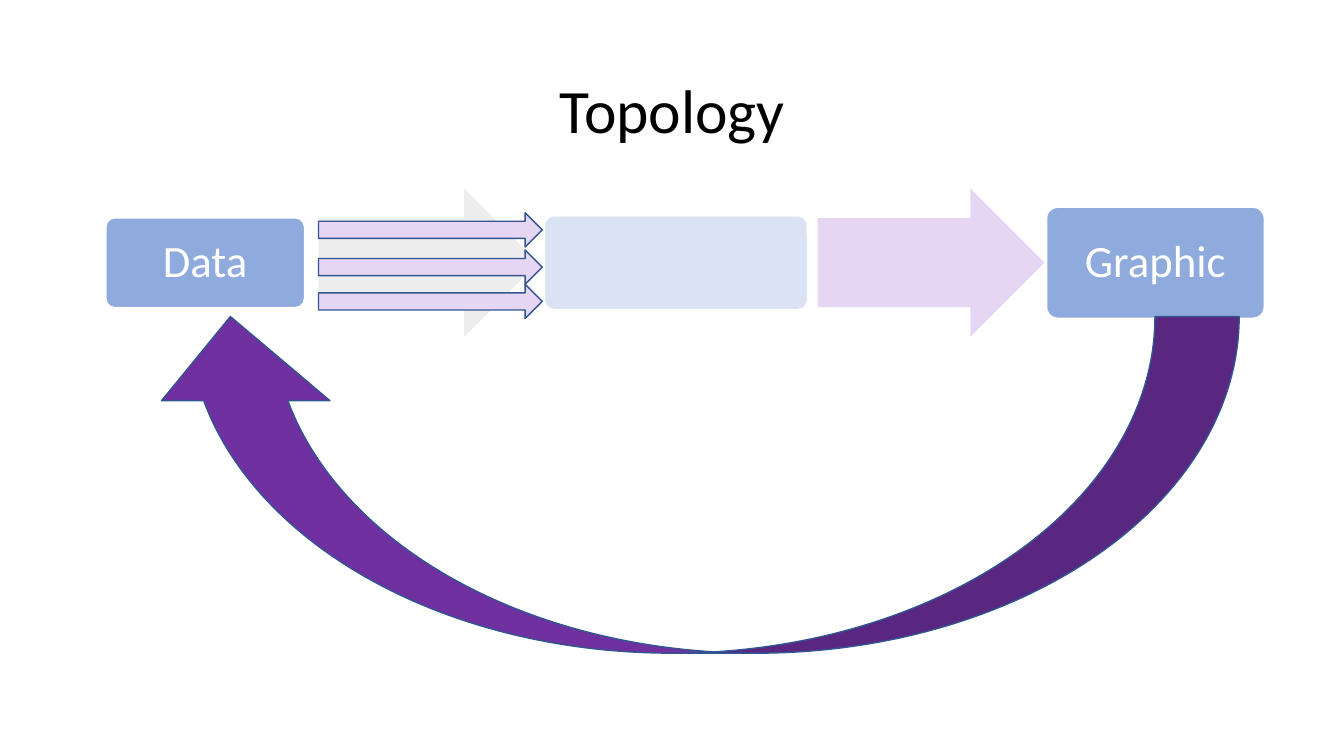
from pptx import Presentation
from pptx.dml.color import RGBColor
from pptx.enum.shapes import MSO_SHAPE
from pptx.enum.text import MSO_ANCHOR, PP_ALIGN
from pptx.util import Inches, Pt

BOX = MSO_SHAPE.ROUNDED_RECTANGLE
ARROW = MSO_SHAPE.RIGHT_ARROW
CURVED_ARROW = MSO_SHAPE.CURVED_UP_ARROW
CENTER = PP_ALIGN.CENTER
MIDDLE = MSO_ANCHOR.MIDDLE

BLUE, PALE_BLUE = "8FAADC", "DAE3F3"
LILAC, PURPLE, GREY = "E6D5F3", "7030A0", "EDEDED"
WHITE, BLACK, OUTLINE = "FFFFFF", "000000", "325491"
FLOW_ROW = 34.75  # centre row of the flow from data to graphic


def rgb(hex_color):
    return RGBColor.from_string(hex_color)


def write(tf, text, size=32, color=WHITE, font="Calibri", inset=0.13):
    """Put one centred paragraph in a text frame."""
    tf.word_wrap = True
    tf.vertical_anchor = MIDDLE
    tf.margin_left = tf.margin_right = Inches(inset)
    tf.margin_top = tf.margin_bottom = Inches(inset)
    p = tf.paragraphs[0]
    p.alignment = CENTER
    p.line_spacing = 0.9
    r = p.add_run()
    r.text = text
    r.font.name = font
    r.font.size = Pt(size)
    r.font.color.rgb = rgb(color)


class Board:
    """One slide measured in a grid of 100 columns by 100 rows."""

    def __init__(self, prs):
        self.col = prs.slide_width / 100
        self.row = prs.slide_height / 100
        self.slide = prs.slides.add_slide(prs.slide_layouts[6])

    def place(self, x, y, w, h):
        return (round(x * self.col), round(y * self.row),
                round(w * self.col), round(h * self.row))

    def group(self):
        return self.slide.shapes.add_group_shape().shapes

    def title(self, text, x, y, w, h):
        s = self.slide.shapes.add_textbox(*self.place(x, y, w, h))
        write(s.text_frame, text, size=44, color=BLACK, inset=0.05)

    def shape(self, kind, x, y, w, h, fill, line=None, adj=(), shapes=None):
        shapes = self.slide.shapes if shapes is None else shapes
        s = shapes.add_shape(kind, *self.place(x, y, w, h))
        s.shadow.inherit = False
        s.fill.solid()
        s.fill.fore_color.rgb = rgb(fill)
        if line:
            s.line.color.rgb = rgb(line)
            s.line.width = Pt(1)
        else:
            s.line.fill.background()
        for i, value in enumerate(adj):
            s.adjustments[i] = value
        return s

    def box(self, shapes, x, w, h, fill, text=None):
        s = self.shape(BOX, x, FLOW_ROW - h / 2, w, h, fill, WHITE, (0.1,), shapes)
        if text:
            write(s.text_frame, text)

    def block_arrow(self, shapes, x, w, fill, h=19.6):
        self.shape(ARROW, x, FLOW_ROW - h / 2, w, h, fill,
                   adj=(0.6, 0.5), shapes=shapes)

    def thin_arrow(self, shapes, x, center, w=16.65, h=4.53):
        self.shape(ARROW, x, center - h / 2, w, h, LILAC, OUTLINE, shapes=shapes)

    def return_arrow(self, x, y, w, h):
        s = self.shape(CURVED_ARROW, x, y, w, h, PURPLE, OUTLINE)
        s.element.spPr.get_or_add_xfrm().set("flipH", "1")


def main():
    prs = Presentation()
    prs.slide_width, prs.slide_height = Inches(13.33), Inches(7.5)
    board = Board(prs)
    board.title("Topology", 6.9, 5.33, 86.25, 19.33)

    flow = board.group()
    board.box(flow, 7.88, 14.78, 11.87, BLUE, "Data")
    board.block_arrow(flow, 23.7, 16.35, GREY)
    board.box(flow, 40.5, 19.58, 12.4, PALE_BLUE)
    board.block_arrow(flow, 60.84, 16.88, LILAC)
    board.box(flow, 77.87, 16.2, 14.67, BLUE, "Graphic")

    board.return_arrow(10.88, 41.87, 81.32, 44.53)

    streams = board.group()
    for center in (39.87, 35.33, 30.4):
        board.thin_arrow(streams, 23.7, center)

    prs.save("out.pptx")


if __name__ == "__main__":
    main()
